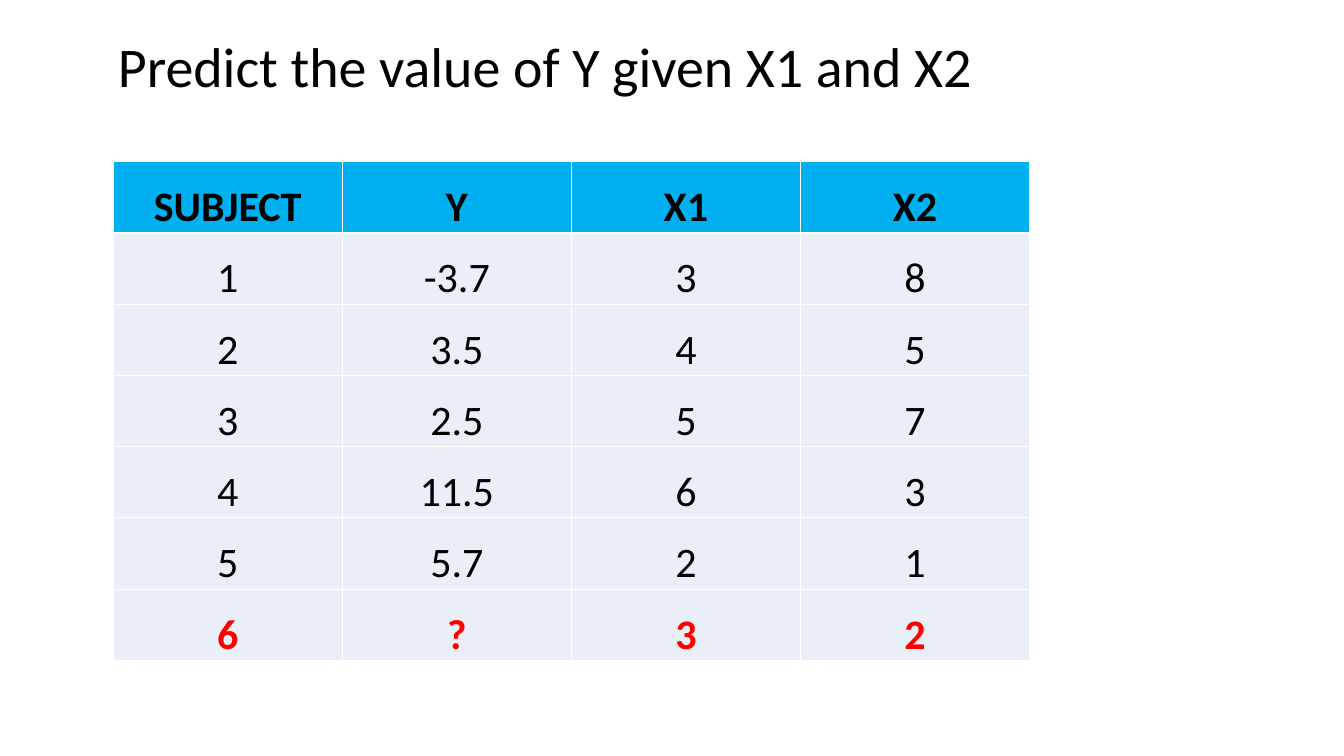
from dataclasses import dataclass

from lxml.etree import SubElement
from pptx import Presentation
from pptx.dml.color import RGBColor
from pptx.enum.text import MSO_ANCHOR, MSO_AUTO_SIZE, PP_ALIGN
from pptx.oxml.ns import qn
from pptx.table import Table, _Cell
from pptx.text.text import TextFrame
from pptx.util import Pt

BLACK = RGBColor(0x00, 0x00, 0x00)
WHITE = RGBColor(0xFF, 0xFF, 0xFF)
RED = RGBColor(0xFF, 0x00, 0x00)
BLUE = RGBColor(0x00, 0xB0, 0xF0)
PALE = RGBColor(0xEA, 0xEF, 0xF7)
FONT = "Calibri"
COL_W = Pt(163.62)
ROW_H = Pt(50.91)


@dataclass(frozen=True)
class Row:
    cells: tuple[str, ...]
    fill: RGBColor = PALE
    color: RGBColor = BLACK
    bold: bool = False


ROWS = (
    Row(("SUBJECT", "Y", "X1", "X2"), fill=BLUE, bold=True),
    Row(("1", "-3.7", "3", "8")),
    Row(("2", "3.5", "4", "5")),
    Row(("3", "2.5", "5", "7")),
    Row(("4", "11.5", "6", "3")),
    Row(("5", "5.7", "2", "1")),
    Row(("6", "?", "3", "2"), color=RED, bold=True),
)


def put_text(frame: TextFrame, text: str, *, size: float,
             align: PP_ALIGN = PP_ALIGN.LEFT, color: RGBColor = BLACK,
             bold: bool = False) -> None:
    para = frame.paragraphs[0]
    para.alignment = align
    run = para.add_run()
    run.text = text
    font = run.font
    font.name = FONT
    font.size = Pt(size)
    font.bold = bold
    font.color.rgb = color


def add_edges(cell: _Cell) -> None:
    props = cell._tc.get_or_add_tcPr()
    for side in ("a:lnL", "a:lnR", "a:lnT", "a:lnB"):
        line = SubElement(props, qn(side), w=str(Pt(1)))
        fill = SubElement(line, qn("a:solidFill"))
        SubElement(fill, qn("a:srgbClr"), val=str(WHITE))


def draw_row(table: Table, index: int, row: Row) -> None:
    table.rows[index].height = ROW_H
    for col, text in enumerate(row.cells):
        cell = table.cell(index, col)
        add_edges(cell)
        cell.fill.solid()
        cell.fill.fore_color.rgb = row.fill
        cell.vertical_anchor = MSO_ANCHOR.BOTTOM
        cell.margin_left = cell.margin_right = cell.margin_top = Pt(0.75)
        cell.margin_bottom = Pt(0)
        put_text(cell.text_frame, text, size=30, align=PP_ALIGN.CENTER,
                 color=row.color, bold=row.bold)


def main() -> None:
    deck = Presentation()
    deck.slide_width, deck.slide_height = Pt(960), Pt(540)
    slide = deck.slides.add_slide(deck.slide_layouts[5])

    # Title
    title = slide.shapes.title
    title.left, title.top = Pt(77), Pt(18.7)
    title.width, title.height = Pt(630.7), Pt(55.4)
    frame = title.text_frame
    frame.word_wrap = False
    frame.auto_size = MSO_AUTO_SIZE.SHAPE_TO_FIT_TEXT
    frame.vertical_anchor = MSO_ANCHOR.TOP
    put_text(frame, "Predict the value of Y given X1 and X2", size=40)

    # Data table
    count, wide = len(ROWS), len(ROWS[0].cells)
    table = slide.shapes.add_table(count, wide, Pt(80.9), Pt(115.5),
                                   COL_W * wide, ROW_H * count).table
    table.horz_banding = False
    for col in table.columns:
        col.width = COL_W
    for index, row in enumerate(ROWS):
        draw_row(table, index, row)

    deck.save("out.pptx")


if __name__ == "__main__":
    main()
